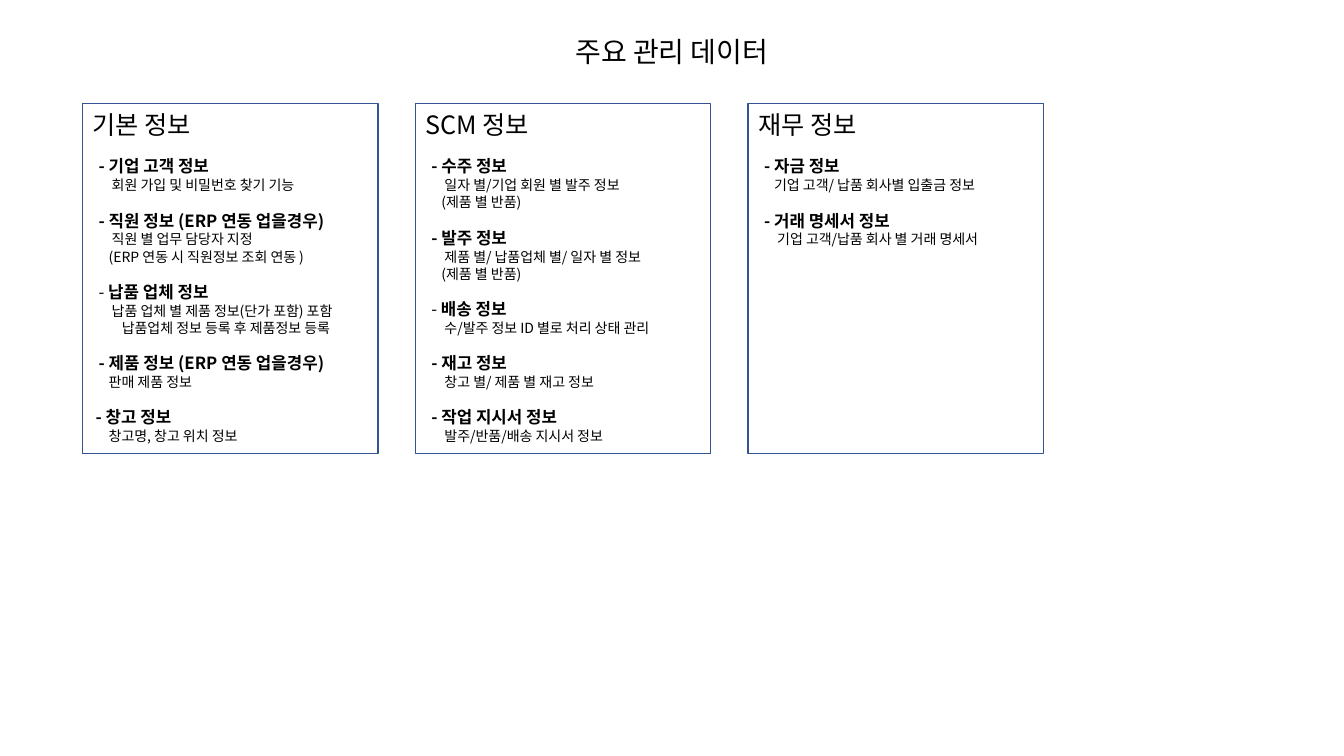
from pptx import Presentation
from pptx import util as u
from pptx.dml.color import RGBColor
from pptx.enum import shapes, text
from pptx.oxml import ns

TITLE = "주요 관리 데이터"
PLAIN_DASH = {"납품 업체 정보", "배송 정보"}

# Column heading, then items: (dash indent, name, [(indent, detail), ...])
COLUMNS = [
    ("기본 정보", [
        (6, "기업 고객 정보", [(19, "회원 가입 및 비밀번호 찾기 기능")]),
        (6, "직원 정보 (ERP 연동 업을경우)", [
            (19, "직원 별 업무 담당자 지정"),
            (16, "(ERP 연동 시 직원정보 조회 연동 )")]),
        (6, "납품 업체 정보", [
            (19, "납품 업체 별 제품 정보(단가 포함) 포함"),
            (29, "납품업체 정보 등록 후 제품정보 등록")]),
        (6, "제품 정보 (ERP 연동 업을경우)", [(16, "판매 제품 정보")]),
        (3, "창고 정보", [(16, "창고명, 창고 위치 정보")]),
    ]),
    ("SCM 정보", [
        (6, "수주 정보", [
            (19, "일자 별/기업 회원 별 발주 정보"),
            (16, "(제품 별 반품)")]),
        (6, "발주 정보", [
            (19, "제품 별/ 납품업체 별/ 일자 별 정보"),
            (16, "(제품 별 반품)")]),
        (6, "배송 정보", [(19, "수/발주 정보 ID 별로 처리 상태 관리")]),
        (6, "재고 정보", [(19, "창고 별/ 제품 별 재고 정보")]),
        (6, "작업 지시서 정보", [(19, "발주/반품/배송 지시서 정보")]),
    ]),
    ("재무 정보", [
        (6, "자금 정보", [(16, "기업 고객/ 납품 회사별 입출금 정보")]),
        (6, "거래 명세서 정보", [(19, "기업 고객/납품 회사 별 거래 명세서")]),
    ]),
]

FONT = "Noto Sans CJK KR"
BLACK = RGBColor(0x00, 0x00, 0x00)
BORDER = RGBColor(0x32, 0x54, 0x91)
PAGE_W, PAGE_H = 1333, 750
TITLE_TOP, TITLE_H = 29, 44
BOX_LEFT, BOX_TOP, BOX_W, BOX_H, BOX_STEP = 82, 103, 293, 347, 330
LINE_PT = {10: 12.3, 12: 14, 18: 22, 20: 24.4}  # line height for each text size


def px(length):
    return u.Emu(length * 9144)


def add_span(para, words, size, bold=False):
    span = para.add_run()
    span.text = words
    span.font.size = u.Pt(size)
    span.font.bold = bold
    span.font.name = FONT
    span.font.color.rgb = BLACK
    east_asian = span.font._element.makeelement(ns.qn("a:ea"), {"typeface": FONT})
    span.font._element.append(east_asian)


def add_para(frame, size, indent=0, gap=0):
    """Start a left-aligned line, using the frame's first one while it is empty."""
    first = frame.paragraphs[0]
    para = frame.add_paragraph() if first.runs else first
    para.alignment = text.PP_ALIGN.LEFT
    para.line_spacing = u.Pt(LINE_PT[size])
    para.space_before = u.Pt(gap)
    para._p.get_or_add_pPr().set("marL", str(px(indent)))
    return para


def add_column(page, left, heading, items):
    box = page.shapes.add_shape(shapes.MSO_SHAPE.RECTANGLE,
                                px(left), px(BOX_TOP), px(BOX_W), px(BOX_H))
    box.shadow.inherit = False
    box.fill.background()
    box.line.color.rgb = BORDER
    box.line.width = u.Pt(1)
    frame = box.text_frame
    frame.word_wrap = True
    frame.vertical_anchor = text.MSO_ANCHOR.TOP
    add_span(add_para(frame, 18), heading, 18)
    for indent, name, details in items:
        para = add_para(frame, 12, indent, gap=LINE_PT[10])
        add_span(para, "- ", 12, bold=name not in PLAIN_DASH)
        add_span(para, name, 12, bold=True)
        for detail_indent, detail in details:
            add_span(add_para(frame, 10, detail_indent), detail, 10)


def main():
    deck = Presentation()
    deck.slide_width, deck.slide_height = px(PAGE_W), px(PAGE_H)
    page = deck.slides.add_slide(deck.slide_layouts[6])

    title = page.shapes.add_textbox(0, px(TITLE_TOP), px(PAGE_W), px(TITLE_H))
    title.text_frame.word_wrap = True
    para = add_para(title.text_frame, 20)
    para.alignment = text.PP_ALIGN.CENTER
    add_span(para, TITLE, 20)

    for index, (heading, items) in enumerate(COLUMNS):
        add_column(page, BOX_LEFT + index * BOX_STEP, heading, items)
    deck.save("out.pptx")


if __name__ == "__main__":
    main()
